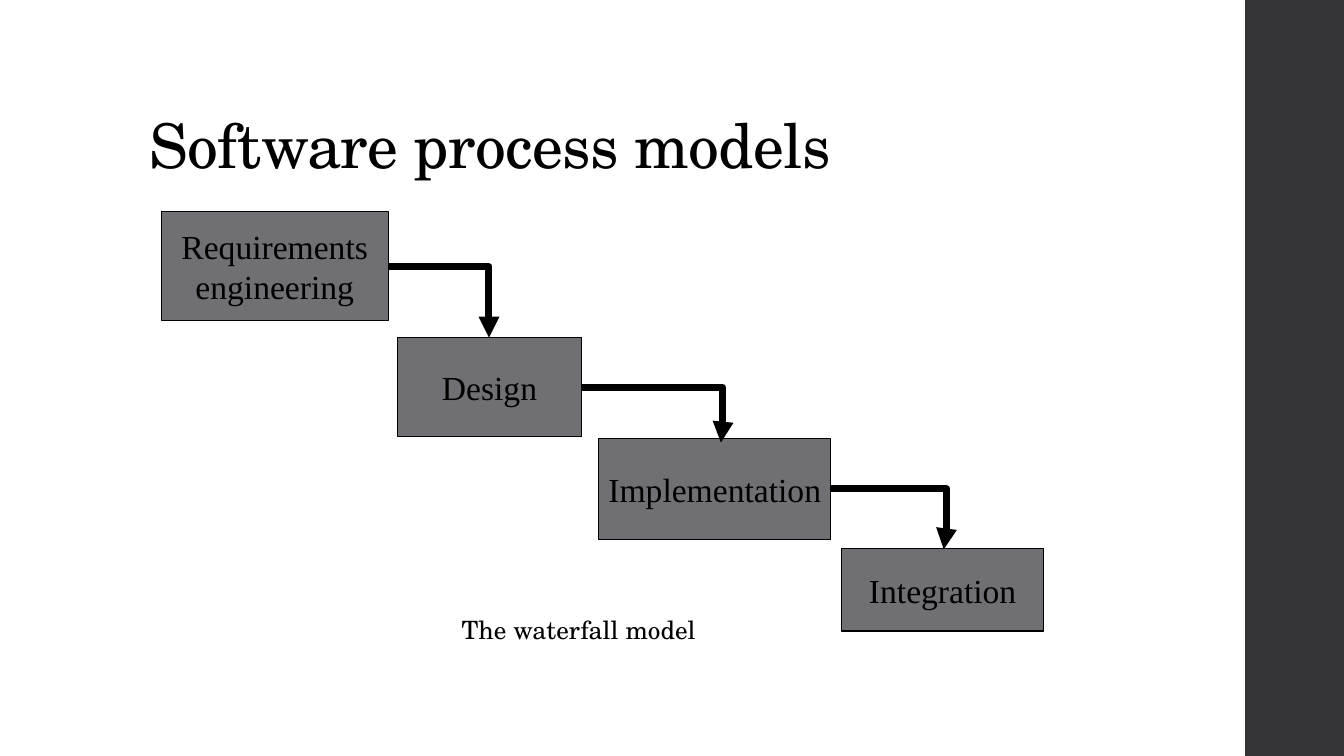
from lxml import etree
from pptx import Presentation
from pptx.dml.color import RGBColor
from pptx.enum.shapes import MSO_CONNECTOR, MSO_SHAPE
from pptx.enum.text import MSO_ANCHOR, PP_ALIGN
from pptx.oxml.ns import qn
from pptx.util import Inches, Pt

RECT, ELBOW = MSO_SHAPE.RECTANGLE, MSO_CONNECTOR.ELBOW
TOP, MIDDLE, BOTTOM = MSO_ANCHOR.TOP, MSO_ANCHOR.MIDDLE, MSO_ANCHOR.BOTTOM
LEFT, CENTER = PP_ALIGN.LEFT, PP_ALIGN.CENTER

# Content
W, H = 13.33, 7.5
COLORS = {"band": "353537", "box": "6F6F74", "ink": "000000"}
HEADING_FONT, BOX_FONT = "TeX Gyre Schola", "Times New Roman"
TITLE = ("Software process models", (1.38, 0.4, 10.6, 1.45))
CAPTION = ("The waterfall model", (4.48, 6.05, 2.62, 0.4))
BAND = (12.35, 0, W - 12.35, H)
STAGES = [  # text, (left, top, width, height)
    ("Requirements\nengineering", (1.6, 2.1, 2.25, 1.08)),
    ("Design", (3.94, 3.35, 1.83, 0.98)),
    ("Implementation", (5.94, 4.35, 2.3, 1)),
    ("Integration", (8.35, 5.44, 2, 0.82)),
]
# Arrow tip (x, y) and turning point as a share of the arrow's width
ARROWS = [((4.85, 3.35), None), ((7.15, 4.39), 1.014), ((9.36, 5.45), 1.022)]


def color(name):
    return RGBColor.from_string(COLORS[name])


def add_rect(s, box, fill):
    sp = s.shapes.add_shape(RECT, *map(Inches, box))
    sp.shadow.inherit = False
    sp.fill.solid()
    sp.fill.fore_color.rgb = color(fill)
    sp.line.fill.background()
    return sp


def write(sp, text, size, font, align=LEFT, anchor=TOP, wrap=False):
    tf = sp.text_frame
    tf.text = text
    tf.word_wrap = wrap
    tf.vertical_anchor = anchor
    for p in tf.paragraphs:
        p.alignment = align
        for r in p.runs:
            r.font.size = Pt(size)
            r.font.name = font
            r.font.color.rgb = color("ink")
    return tf


def add_arrow(s, start, tip, turn):
    cn = s.shapes.add_connector(ELBOW, *map(Inches, start + tip))
    cn.line.color.rgb = color("ink")
    cn.line.width = Pt(5)
    props = cn.element.spPr
    geom = props.find(qn("a:prstGeom"))
    if turn is None:
        geom.set("prst", "bentConnector2")
    else:
        guide = etree.SubElement(geom.find(qn("a:avLst")), qn("a:gd"))
        guide.set("name", "adj1")
        guide.set("fmla", f"val {round(turn * 100000)}")
    etree.SubElement(props.find(qn("a:ln")), qn("a:tailEnd")).set("type", "triangle")
    etree.SubElement(props, qn("a:effectLst"))


prs = Presentation()
prs.slide_width, prs.slide_height = Inches(W), Inches(H)
s = prs.slides.add_slide(prs.slide_layouts[6])

# Side band and title
add_rect(s, BAND, "band")
text, box = TITLE
title = s.shapes.add_textbox(*map(Inches, box))
p = write(title, text, 44, HEADING_FONT, anchor=BOTTOM, wrap=True).paragraphs[0]
p.line_spacing = 0.9
p.runs[0].font._element.set("spc", "-50")

# Stages
for text, box in STAGES:
    sp = add_rect(s, box, "box")
    sp.line.color.rgb = color("ink")
    sp.line.width = Pt(0.75)
    write(sp, text, 24, BOX_FONT, CENTER, MIDDLE)

# Arrows leave the middle of each stage's right side
for (_, (x, y, w, h)), (tip, turn) in zip(STAGES, ARROWS):
    add_arrow(s, (x + w, y + h / 2), tip, turn)

# Caption
text, box = CAPTION
write(s.shapes.add_textbox(*map(Inches, box)), text, 18, HEADING_FONT)

prs.save("out.pptx")
